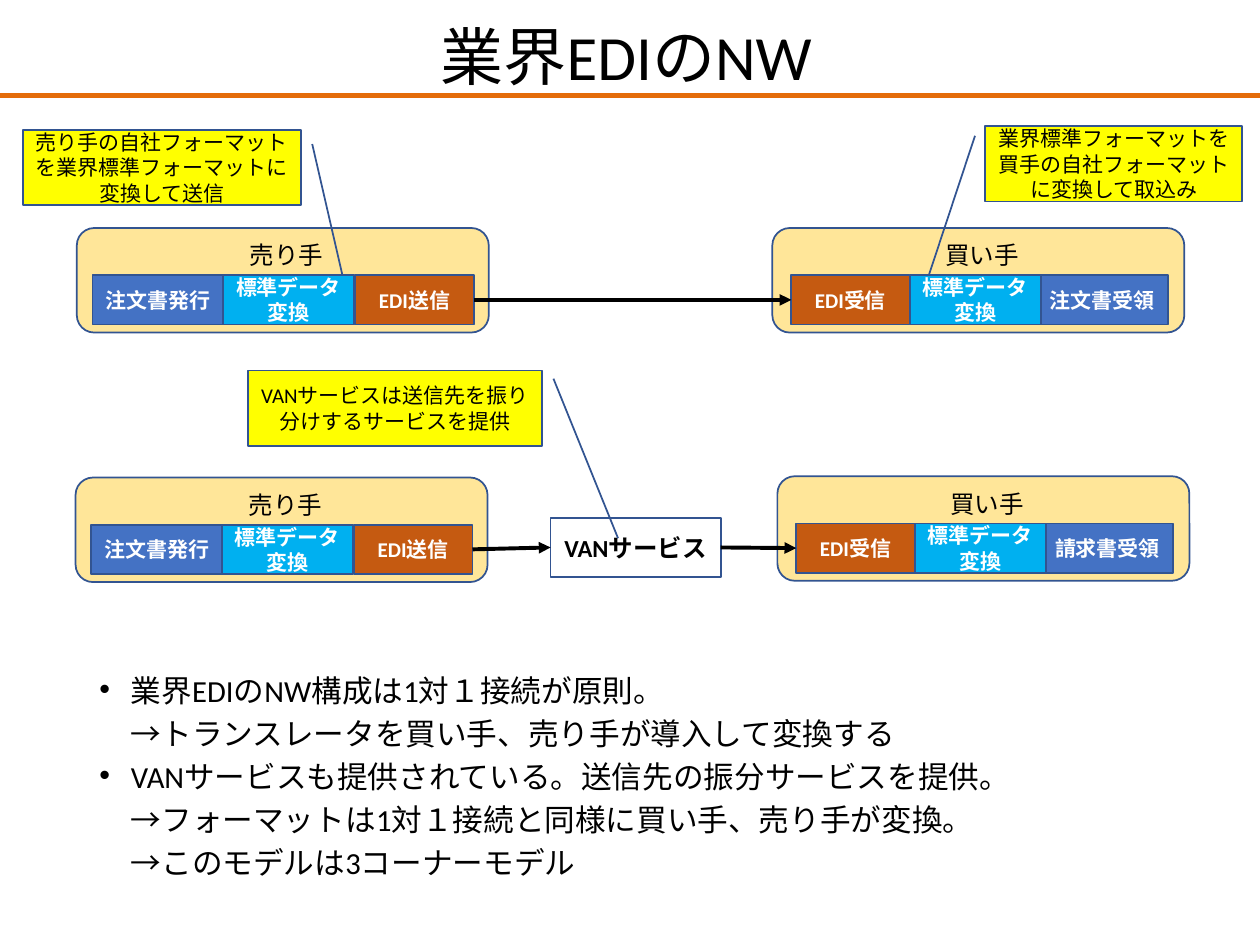
import pptx
import pptx.util
import pptx.dml.color
import pptx.enum.shapes
import pptx.enum.text
import pptx.oxml.ns
from dataclasses import dataclass
from lxml import etree

SHAPES = pptx.enum.shapes.MSO_SHAPE
ANCHOR = pptx.enum.text.MSO_ANCHOR
ALIGN = pptx.enum.text.PP_ALIGN
qn = pptx.oxml.ns.qn


@dataclass(frozen=True)
class Theme:
    font: str = "Calibri"
    text: str = "000000"
    light: str = "FFFFFF"
    outline: str = "325491"
    panel: str = "FFE699"
    document: str = "4472C4"
    converter: str = "00B0F0"
    edi: str = "C55A11"
    note: str = "FFFF00"
    rule: str = "E46C0A"
    title_size: float = 36
    body_size: float = 17.5
    label_size: float = 14
    box_size: float = 12


THEME = Theme()
# The slide is a grid of 100 columns by 75 rows
CELL = pptx.util.Inches(0.1)
BOX_HEIGHT = 3.9


def grid(*cells):
    return [round(cell * CELL) for cell in cells]


def color(value):
    return pptx.dml.color.RGBColor.from_string(value)


def style(paragraph, size, text_color, bold=False, alignment=ALIGN.CENTER):
    paragraph.alignment = alignment
    paragraph.font.name = THEME.font
    paragraph.font.size = pptx.util.Pt(size)
    paragraph.font.bold = bold
    paragraph.font.color.rgb = color(text_color)


def add_box(slide, area, fill, text="", size=THEME.box_size,
            text_color=THEME.light, bold=True, kind=SHAPES.RECTANGLE):
    shape = slide.shapes.add_shape(kind, *grid(*area))
    shape.shadow.inherit = False
    shape.fill.solid()
    shape.fill.fore_color.rgb = color(fill)
    shape.line.color.rgb = color(THEME.outline)
    shape.line.width = pptx.util.Pt(1)
    if text:
        frame = shape.text_frame
        frame.word_wrap = True
        frame.vertical_anchor = ANCHOR.MIDDLE
        frame.text = text
        style(frame.paragraphs[0], size, text_color, bold)
    return shape


def add_text(slide, area, text, size, anchor=ANCHOR.TOP):
    frame = slide.shapes.add_textbox(*grid(*area)).text_frame
    frame.word_wrap = True
    frame.vertical_anchor = anchor
    frame.text = text
    style(frame.paragraphs[0], size, THEME.text)
    return frame


def add_callout(slide, area, text, pointer):
    shape = add_box(slide, area, THEME.note, text, text_color=THEME.text,
                    bold=False, kind=SHAPES.LINE_CALLOUT_1)
    for index, share in enumerate(pointer):
        shape.adjustments[index] = share


def add_line(slide, start, end, line_color, width):
    connector = slide.shapes.add_connector(
        pptx.enum.shapes.MSO_CONNECTOR.STRAIGHT, *grid(*start, *end))
    connector.line.color.rgb = color(line_color)
    connector.line.width = pptx.util.Pt(width)
    etree.SubElement(connector._element.spPr, qn("a:effectLst"))
    return connector


def add_arrow(slide, source, target):
    """Arrow from the right side of source to the left side of target."""
    connector = add_line(slide, (0, 0), (1, 1), THEME.text, 2.25)
    connector.begin_connect(source, 3)
    connector.end_connect(target, 1)
    etree.SubElement(connector.line._get_or_add_ln(), qn("a:tailEnd"), type="triangle")


def add_party(slide, left, top, name, document, sends, callout=None):
    """Panel with document, converter and EDI boxes; returns the EDI box."""
    add_box(slide, (left, top, 32.7, 8.3), THEME.panel, kind=SHAPES.ROUNDED_RECTANGLE)
    if sends:
        document_left, converter_left, edi_left = 1.25, 11.6, 22.1
        edi_text = "EDI送信"
    else:
        edi_left, converter_left, document_left = 1.5, 10.9, 21
        edi_text = "EDI受信"
    row = top + 3.75

    def part(offset, width, fill, text):
        return add_box(slide, (left + offset, row, width, BOX_HEIGHT), fill, text)

    part(document_left, 10.4, THEME.document, document)
    edi = part(edi_left, 9.4, THEME.edi, edi_text)
    add_text(slide, (left + 10.3, top + 0.5, 12.7, 3.4), name, THEME.label_size)
    # The converter covers the tip of the callout's pointer
    if callout:
        add_callout(slide, *callout)
    part(converter_left, 10.4, THEME.converter, "標準データ変換")
    return edi


def add_bullets(slide, area, lines):
    frame = add_text(slide, area, "", THEME.body_size)
    indent = pptx.util.Inches(0.25)
    for index, (bulleted, text) in enumerate(lines):
        paragraph = frame.add_paragraph() if index else frame.paragraphs[0]
        paragraph.text = text
        style(paragraph, THEME.body_size, THEME.text, alignment=ALIGN.LEFT)
        paragraph.line_spacing = 0.7
        paragraph.space_before = pptx.util.Pt(10)
        properties = paragraph._p.get_or_add_pPr()
        properties.set("marL", str(indent))
        properties.set("indent", str(-indent if bulleted else 0))
        if bulleted:
            bullet_font = etree.Element(qn("a:buFont"), typeface="Arial")
            bullet = etree.Element(qn("a:buChar"), char="•")
            position = len(properties)
            if properties.find(qn("a:defRPr")) is not None:
                position -= 1
            properties.insert(position, bullet_font)
            properties.insert(position + 1, bullet)


def main():
    presentation = pptx.Presentation()
    presentation.slide_width = 100 * CELL
    presentation.slide_height = 75 * CELL
    slide = presentation.slides.add_slide(presentation.slide_layouts[6])

    # Title and rule
    add_text(slide, (6.6, 0.9, 86.2, 7), "業界EDIのNW", THEME.title_size, ANCHOR.MIDDLE)
    add_line(slide, (0, 7.6), (100, 7.6), THEME.rule, 3)

    # Direct connection
    sender = add_party(
        slide, 6.1, 18.1, "売り手", "注文書発行", True,
        ((1.8, 10.3, 22.1, 6), "売り手の自社フォーマットを業界標準フォーマットに変換して送信",
         (0.19, 1.04, 2.11, 1.16)))
    receiver = add_party(
        slide, 61.3, 18.1, "買い手", "注文書受領", False,
        ((78.2, 10, 20.4, 6), "業界標準フォーマットを買手の自社フォーマットに変換して取込み",
         (0.13, -0.04, 2.08, -0.23)))
    add_arrow(slide, sender, receiver)

    # Connection through the VAN service
    sender = add_party(slide, 6, 37.9, "売り手", "注文書発行", True)
    receiver = add_party(slide, 61.7, 37.8, "買い手", "請求書受領", False)
    van = add_box(slide, (43.7, 41.1, 13.5, 4.7), THEME.light, "VANサービス",
                  THEME.label_size, THEME.text)
    add_arrow(slide, sender, van)
    add_arrow(slide, van, receiver)
    add_callout(slide, (19.7, 29.4, 23.3, 6),
                "VANサービスは送信先を振り分けするサービスを提供", (0.11, 1.04, 2.22, 1.26))

    # Explanation
    add_bullets(slide, (6.9, 53.6, 86.2, 17.3), [
        (True, "業界EDIのNW構成は1対１接続が原則。"),
        (False, "→トランスレータを買い手、売り手が導入して変換する"),
        (True, "VANサービスも提供されている。送信先の振分サービスを提供。"),
        (False, "→フォーマットは1対１接続と同様に買い手、売り手が変換。"),
        (False, "→このモデルは3コーナーモデル"),
    ])

    presentation.save("out.pptx")


if __name__ == "__main__":
    main()
